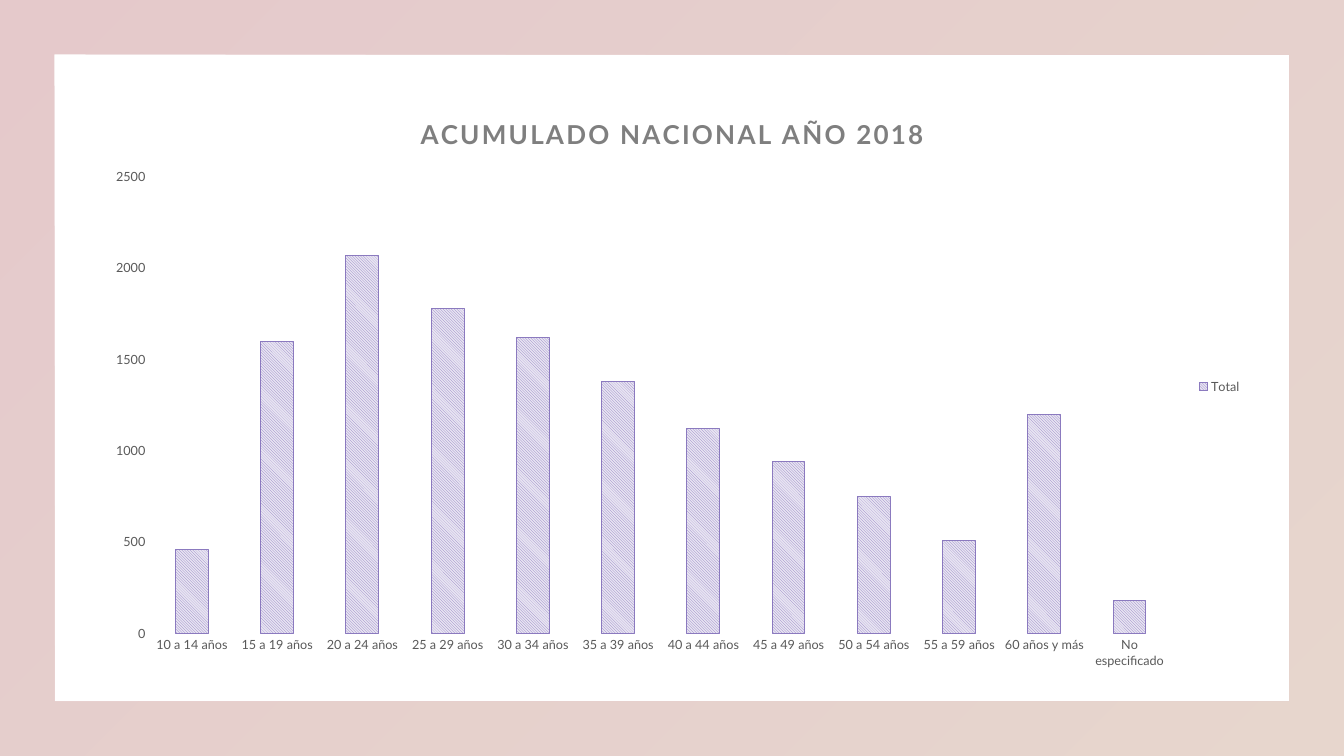
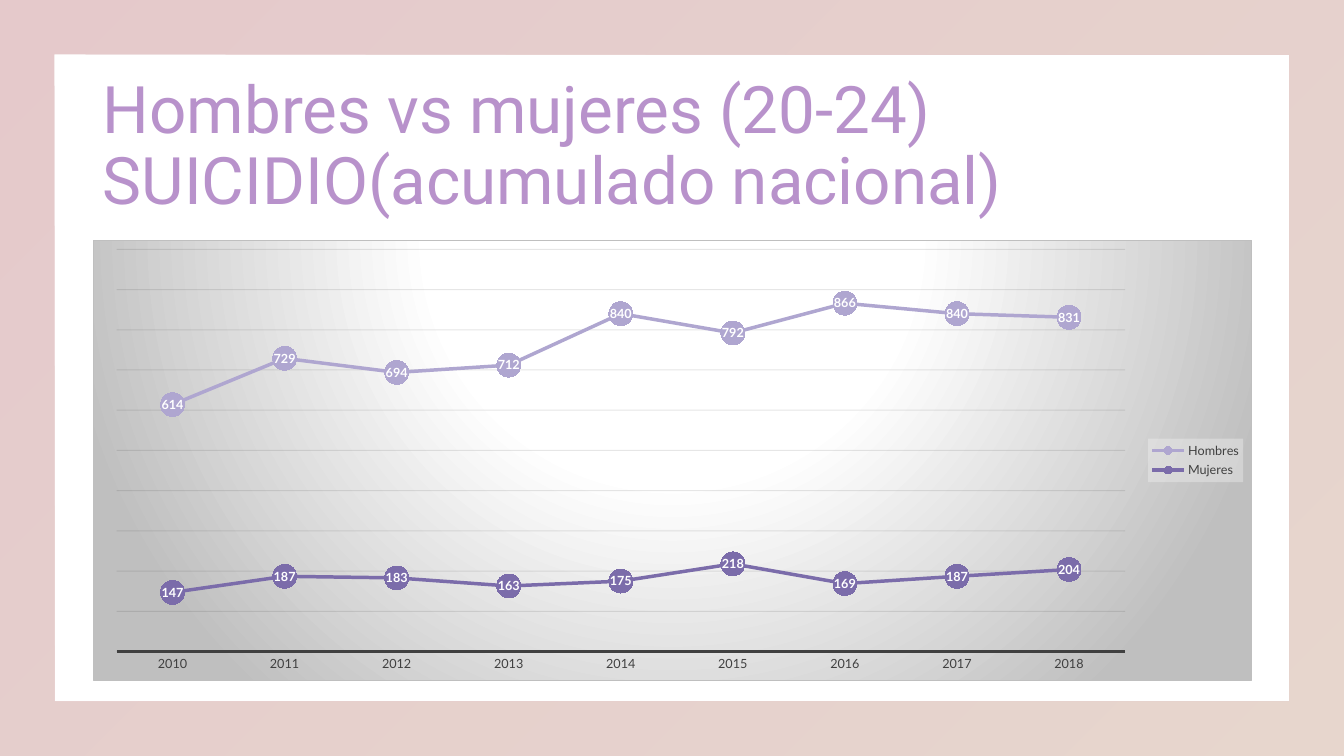
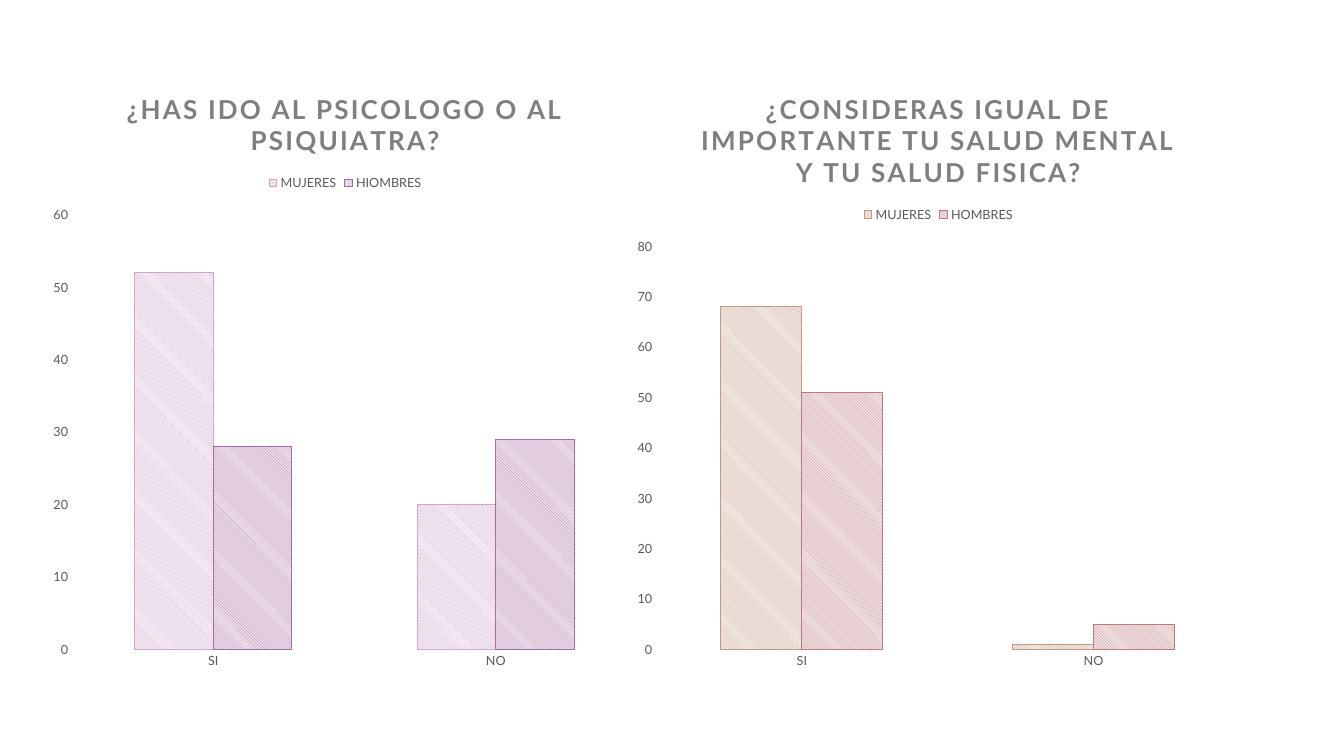
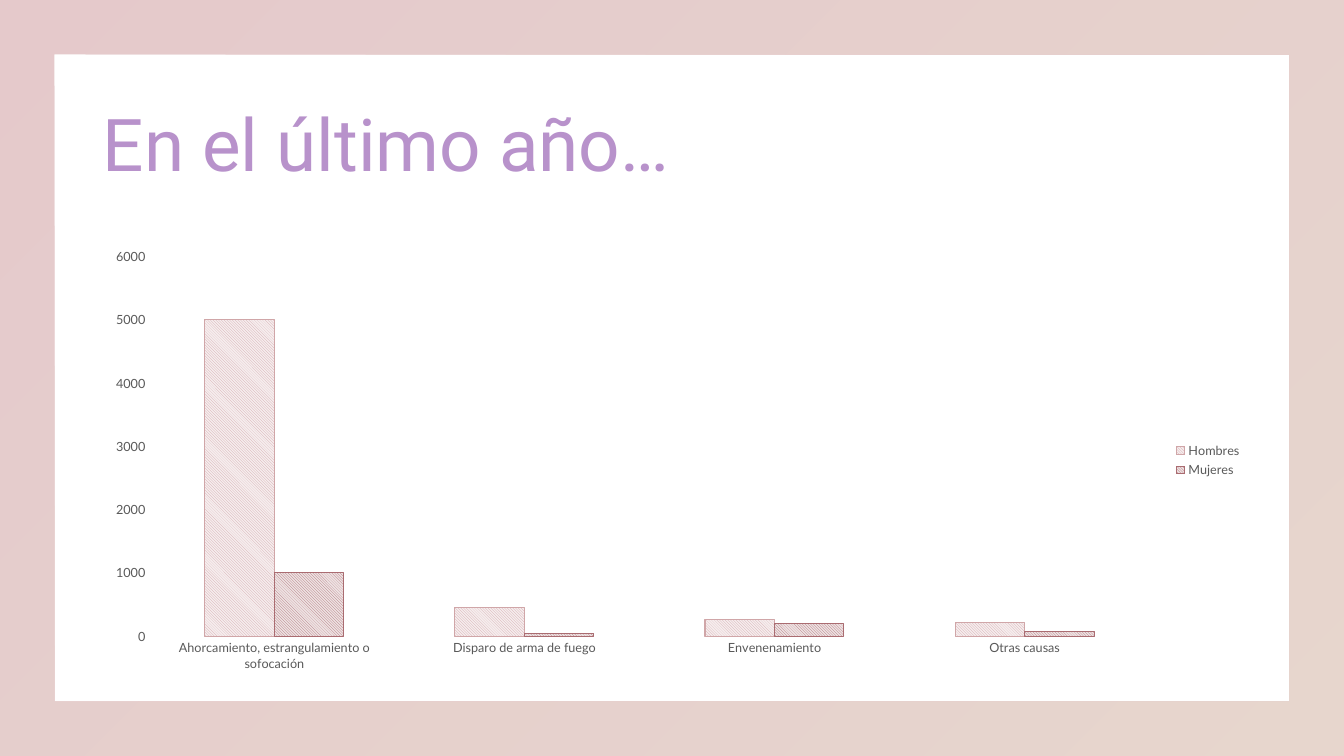
"""Build four slides of charts on suicide figures and mental health."""
from dataclasses import dataclass
from typing import Any, Optional

from lxml.etree import SubElement
from pptx import Presentation
from pptx.chart.data import CategoryChartData
from pptx.dml.color import RGBColor
from pptx.enum.chart import XL_CHART_TYPE as ChartType
from pptx.enum.chart import XL_LABEL_POSITION as LabelPosition
from pptx.enum.chart import XL_LEGEND_POSITION as LegendPosition
from pptx.enum.chart import XL_MARKER_STYLE as Marker
from pptx.enum.chart import XL_TICK_MARK as Tick
from pptx.enum.dml import MSO_PATTERN as Pattern
from pptx.enum.shapes import MSO_SHAPE as Preset
from pptx.enum.text import MSO_ANCHOR as Anchor
from pptx.enum.text import MSO_AUTO_SIZE as AutoSize
from pptx.enum.text import PP_ALIGN as Align
from pptx.oxml import parse_xml
from pptx.oxml.ns import nsdecls, qn
from pptx.util import Cm, Pt

COLOURS = {
    "white": "FFFFFF", "rose": "BF7A7F", "sand": "C39983", "title": "B892CB",
    "chart title": "7F7F7F", "label": "595959", "dark": "404040",
    "grid": "0D0D0D", "edge": "BFBFBF", "legend": "F2F2F2",
    "violet": "8B7ABF", "pale violet": "E8E4F2",
    "lilac": "AFA6D0", "purple": "7B6CAA",
    "pale sand": "F3EBE6", "pale rose": "F2E4E5",
    "orchid": "D0A6CC", "pale orchid": "F6EDF5",
    "plum": "AA6CA4", "pale plum": "EEE2ED",
    "pink": "D0A6A8", "pale pink": "F6EDEE",
    "wine": "AA6C71", "pale wine": "EEE2E3",
}
WIDTH, HEIGHT = Cm(33.87), Cm(19.05)
LABEL_FONT = {"name": "Lato", "size": Pt(9)}
CHART_TITLE_FONT = {"name": "Lato", "size": Pt(18.6), "bold": True}
VALUE_FONT = {**LABEL_FONT, "bold": True}
PLAIN_AXIS = {"major_tick_mark": Tick.NONE, "minor_tick_mark": Tick.NONE,
              "has_major_gridlines": False}


@dataclass(frozen=True)
class Box:
    left: float
    top: float
    width: float
    height: float

    def lengths(self) -> list[Cm]:
        return [Cm(n) for n in (self.left, self.top, self.width, self.height)]


@dataclass(frozen=True)
class Series:
    name: str
    values: tuple[int, ...]
    colour: str
    back: str = ""


@dataclass(frozen=True)
class ChartPlan:
    box: Box
    categories: tuple[str, ...]
    series: tuple[Series, ...]
    title: str = ""
    legend: Any = LegendPosition.RIGHT
    kind: Any = ChartType.COLUMN_CLUSTERED


@dataclass(frozen=True)
class SlidePlan:
    charts: tuple[ChartPlan, ...]
    title: str = ""
    title_size: float = 52
    plain: bool = False


TITLE_BOX = Box(2.34, 1.88, 29.21, 3.68)
FULL_BOX = Box(2.34, 2.34, 29.21, 14.81)
BODY_BOX = Box(2.34, 6.05, 29.21, 11.1)
AGES = tuple(f"{age} a {age + 4} años" for age in range(10, 60, 5))

SLIDES = (
    SlidePlan((ChartPlan(
        FULL_BOX, AGES + ("60 años y más", "No especificado"),
        (Series("Total", (460, 1600, 2070, 1780, 1620, 1380, 1120, 940, 750,
                          510, 1200, 180), "violet", "pale violet"),),
        "ACUMULADO NACIONAL AÑO 2018"),)),
    SlidePlan((ChartPlan(
        BODY_BOX, tuple(str(year) for year in range(2010, 2019)),
        (Series("Hombres", (614, 729, 694, 712, 840, 792, 866, 840, 831), "lilac"),
         Series("Mujeres", (147, 187, 183, 163, 175, 218, 169, 187, 204), "purple")),
        kind=ChartType.LINE_MARKERS),),
        "Hombres vs mujeres (20-24)\vSUICIDIO(acumulado nacional)", 46.8),
    SlidePlan((
        ChartPlan(
            Box(15.75, 1.7, 15.8, 15.47), ("SI", "NO"),
            (Series("MUJERES", (68, 1), "sand", "pale sand"),
             Series("HOMBRES", (51, 5), "rose", "pale rose")),
            "¿CONSIDERAS IGUAL DE IMPORTANTE TU SALUD MENTAL Y TU SALUD FISICA?",
            LegendPosition.TOP),
        ChartPlan(
            Box(1.04, 1.7, 15.32, 15.47), ("SI", "NO"),
            (Series("MUJERES", (52, 20), "orchid", "pale orchid"),
             Series("HIOMBRES", (28, 29), "plum", "pale plum")),
            "¿HAS IDO AL PSICOLOGO O AL PSIQUIATRA?", LegendPosition.TOP)),
        plain=True),
    SlidePlan((ChartPlan(
        BODY_BOX,
        ("Ahorcamiento, estrangulamiento o sofocación", "Disparo de arma de fuego",
         "Envenenamiento", "Otras causas"),
        (Series("Hombres", (5000, 450, 270, 220), "pink", "pale pink"),
         Series("Mujeres", (1000, 50, 200, 70), "wine", "pale wine"))),),
        "En el último año…"),
)


def rgb(name: str) -> RGBColor:
    return RGBColor.from_string(COLOURS[name])


def assign(target: Any, values: dict[str, Any]) -> None:
    for name, value in values.items():
        setattr(target, name, value)


def style_font(font: Any, values: dict[str, Any], colour: str) -> None:
    assign(font, values)
    font.color.rgb = rgb(colour)


def style_line(line: Any, colour: str, width: float) -> None:
    line.color.rgb = rgb(colour)
    line.width = Pt(width)


def gradient(stops: tuple[tuple[int, str, int], ...], shade: str) -> str:
    marks = "".join(
        f'<a:gs pos="{place * 1000}"><a:srgbClr val="{COLOURS[colour]}">'
        f'<a:alpha val="{opacity * 1000}"/></a:srgbClr></a:gs>'
        for place, colour, opacity in stops)
    return (f'<a:gradFill {nsdecls("a")} rotWithShape="1">'
            f"<a:gsLst>{marks}</a:gsLst>{shade}</a:gradFill>")


FRAME_FILL = gradient(((0, "rose", 40), (100, "sand", 40)),
                      '<a:lin ang="2700000" scaled="0"/>')
TITLE_FILL = gradient(((0, "title", 100), (100, "sand", 70)),
                      '<a:lin ang="0" scaled="0"/>')
GLOW_FILL = gradient(
    ((0, "white", 100), (39, "white", 100), (100, "edge", 100)),
    '<a:path path="circle"><a:fillToRect l="50000" t="-80000" r="50000" b="180000"/></a:path>')
LEGEND_FILL = (f'<a:solidFill {nsdecls("a")}><a:srgbClr val="{COLOURS["legend"]}">'
               '<a:alpha val="39000"/></a:srgbClr></a:solidFill>')
GLOW_EDGE = (f'<a:ln {nsdecls("a")} w="9525"><a:solidFill>'
             f'<a:srgbClr val="{COLOURS["edge"]}"/></a:solidFill></a:ln>')


def fill_gradient(fill: Any, properties: Any, markup: str) -> None:
    fill.background()
    properties.replace(properties.find(qn("a:noFill")), parse_xml(markup))


def add_background(element: Any, markup: str) -> None:
    properties = parse_xml(f'<c:spPr {nsdecls("c", "a")}>{markup}</c:spPr>')
    element.find(qn("c:txPr")).addprevious(properties)


def add_block(page: Any, preset: Any) -> Any:
    block = page.shapes.add_shape(preset, 0, 0, WIDTH, HEIGHT)
    block.shadow.inherit = False
    block.line.fill.background()
    return block


def add_master_frame(deck: Any, page: Any) -> None:
    frame = add_block(page, Preset.FRAME)
    frame.adjustments[0] = 0.072
    element = frame.element
    fill_gradient(frame.fill, element.spPr, FRAME_FILL)
    element.nvSpPr.cNvPr.set("id", "20")
    deck.slide_master.shapes.element.insert(2, element)


def write_title(page: Any, text: str, size: float) -> None:
    title = page.shapes.title
    assign(title, dict(zip(("left", "top", "width", "height"), TITLE_BOX.lengths())))
    frame = title.text_frame
    frame.text = text
    assign(frame, {"word_wrap": True, "auto_size": AutoSize.NONE,
                   "vertical_anchor": Anchor.MIDDLE})
    para = frame.paragraphs[0]
    assign(para, {"alignment": Align.LEFT, "line_spacing": 0.9})
    assign(para.font, {"name": "Roboto", "size": Pt(size)})
    for span in para.runs:
        assign(span.font, {"name": "Roboto", "size": Pt(size)})
        fill_gradient(span.font.fill, span.font._element, TITLE_FILL)


def style_columns(chart: Any, plan: ChartPlan) -> None:
    assign(chart.plots[0], {"gap_width": 160, "overlap": 0, "vary_by_categories": False})
    for axis in (chart.category_axis, chart.value_axis):
        assign(axis, PLAIN_AXIS)
        axis.format.line.fill.background()
        style_font(axis.tick_labels.font, LABEL_FONT, "label")
    for column, series in zip(chart.plots[0].series, plan.series):
        fill = column.format.fill
        fill.patterned()
        fill.pattern = Pattern.LIGHT_DOWNWARD_DIAGONAL
        fill.fore_color.rgb = rgb(series.colour)
        fill.back_color.rgb = rgb(series.back)
        style_line(column.format.line, series.colour, 0.75)


def style_lines(chart: Any, plan: ChartPlan) -> None:
    chart.plots[0].vary_by_categories = False
    years, scale = chart.category_axis, chart.value_axis
    assign(years, PLAIN_AXIS)
    style_line(years.format.line, "dark", 1.5)
    style_font(years.tick_labels.font, LABEL_FONT, "dark")
    assign(scale, {"visible": False, "has_major_gridlines": True,
                   "minimum_scale": 0, "maximum_scale": 1000, "major_unit": 100})
    grid = scale.major_gridlines
    style_line(grid.format.line, "grid", 0.75)
    tint = next(scale._element.find(qn("c:majorGridlines")).iter(qn("a:srgbClr")))
    SubElement(tint, qn("a:alpha")).set("val", "10000")
    for curve, series in zip(chart.plots[0].series, plan.series):
        curve.smooth = False
        style_line(curve.format.line, series.colour, 2.5)
        marker = curve.marker
        assign(marker, {"style": Marker.CIRCLE, "size": 17})
        marker.format.fill.solid()
        marker.format.fill.fore_color.rgb = rgb(series.colour)
        marker.format.line.fill.background()
        labels = curve.data_labels
        assign(labels, {"show_value": True, "position": LabelPosition.CENTER})
        style_font(labels.font, VALUE_FONT, "white")
    add_background(chart.element, GLOW_FILL + GLOW_EDGE)
    add_background(chart.legend._element, LEGEND_FILL)


def write_chart_title(chart: Any, text: str) -> None:
    frame = chart.chart_title.text_frame
    frame.text = text
    chart.chart_title.include_in_layout = False
    font = frame.paragraphs[0].runs[0].font
    style_font(font, CHART_TITLE_FONT, "chart title")
    font._element.set("spc", "150")


def add_chart(page: Any, plan: ChartPlan) -> None:
    data = CategoryChartData()
    data.categories = plan.categories
    for series in plan.series:
        data.add_series(series.name, series.values)
    chart = page.shapes.add_chart(plan.kind, *plan.box.lengths(), data).chart
    assign(chart.font, {"name": "Lato", "size": Pt(10)})
    assign(chart, {"has_legend": True, "has_title": bool(plan.title)})
    if plan.title:
        write_chart_title(chart, plan.title)
    is_line = plan.kind == ChartType.LINE_MARKERS
    assign(chart.legend, {"position": plan.legend, "include_in_layout": False})
    style_font(chart.legend.font, LABEL_FONT, "dark" if is_line else "label")
    (style_lines if is_line else style_columns)(chart, plan)


def add_page(deck: Any, plan: SlidePlan) -> Any:
    page = deck.slides.add_slide(deck.slide_layouts[5 if plan.title else 6])
    if plan.plain:
        cover = add_block(page, Preset.RECTANGLE)
        cover.fill.solid()
        cover.fill.fore_color.rgb = rgb("white")
    if plan.title:
        write_title(page, plan.title, plan.title_size)
    for chart in plan.charts:
        add_chart(page, chart)
    return page


def main() -> None:
    deck = Presentation()
    assign(deck, {"slide_width": WIDTH, "slide_height": HEIGHT})
    first: Optional[Any] = None
    for plan in SLIDES:
        page = add_page(deck, plan)
        first = first or page
    add_master_frame(deck, first)
    deck.save("out.pptx")


if __name__ == "__main__":
    main()
